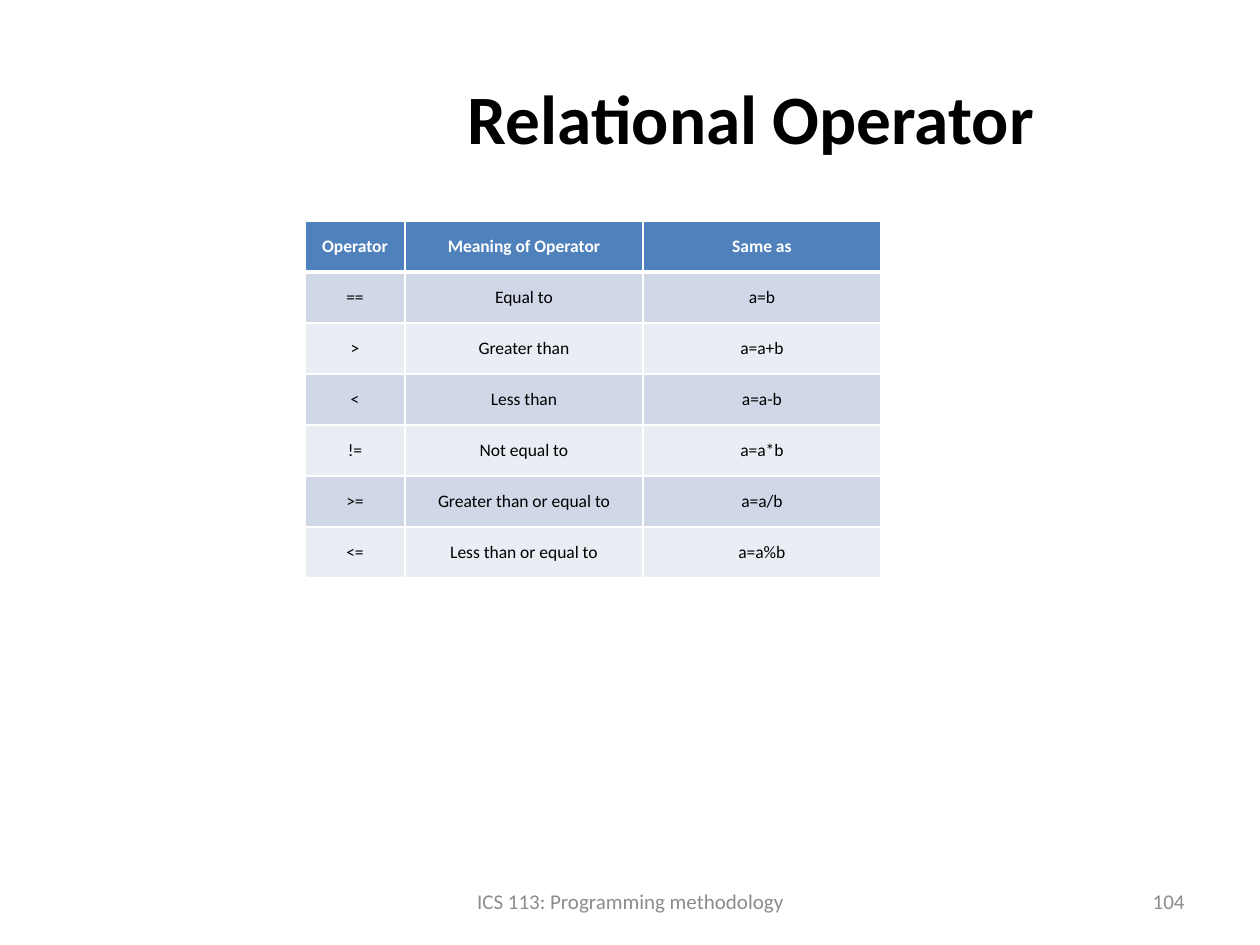
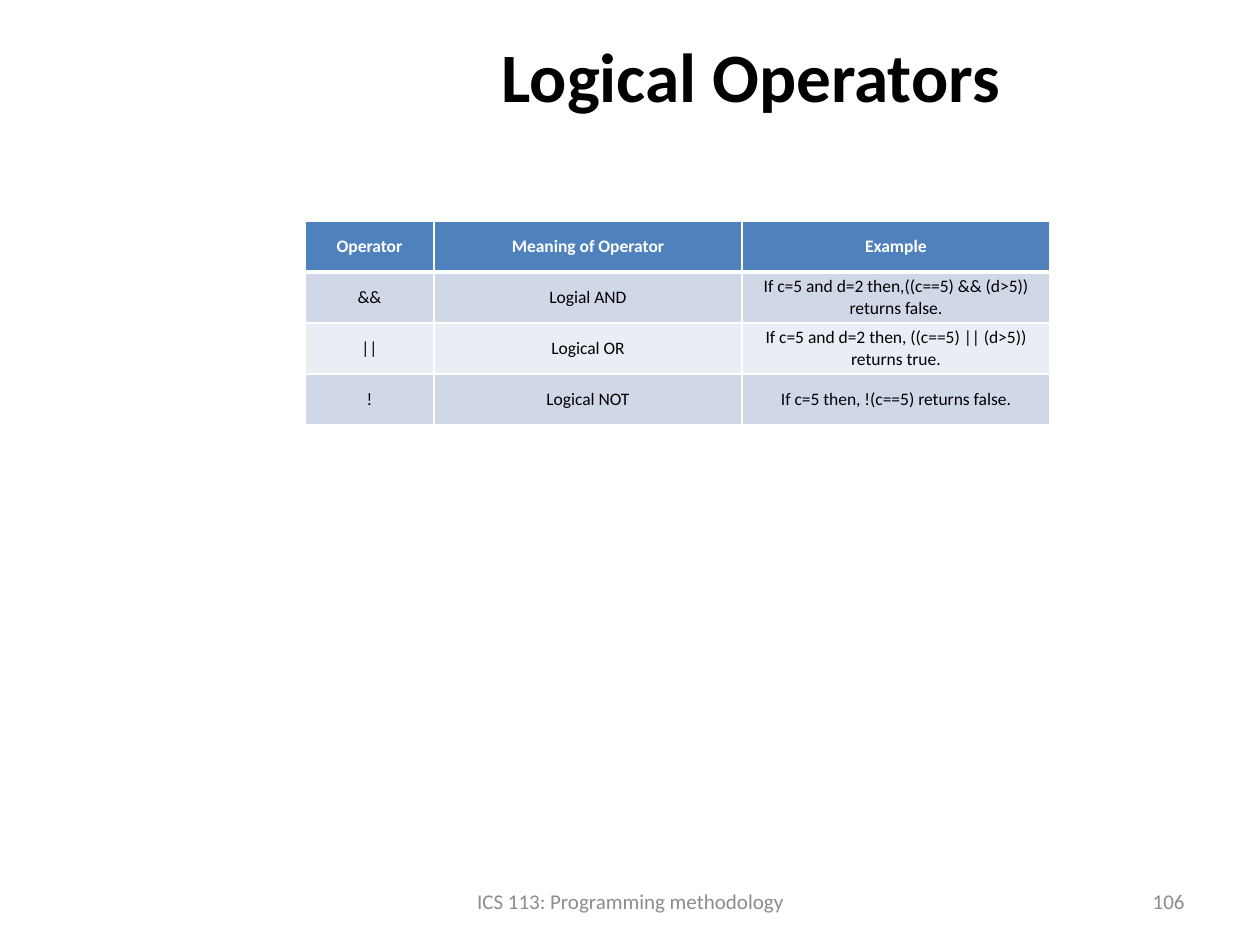
from dataclasses import dataclass

from lxml.etree import SubElement
from pptx import Presentation
from pptx.dml.color import RGBColor
from pptx.enum.text import MSO_ANCHOR, MSO_AUTO_SIZE, PP_ALIGN
from pptx.oxml.ns import qn
from pptx.util import Pt

PX = 914400 / 126  # EMU in one pixel


@dataclass(frozen=True)
class Theme:
    font: str = "Calibri"
    ink: str = "000000"
    paper: str = "FFFFFF"
    header: str = "4F81BD"
    bands: tuple = ("D0D8E8", "E9EDF4")
    footer: str = "8C8C8C"
    title_size: float = 39.6
    table_size: float = 10
    footer_size: float = 12
    rule: float = 1
    header_rule: float = 3


THEME = Theme()

# Boxes: left, top, width, height in px
PAGE_SIZE = (1260, 945)
TITLE_BOX = (305, 38, 892, 157)
FOOTER_BOX = (431, 876, 399, 50)
NUMBER_BOX = (903, 876, 294, 50)
TABLE_ORIGIN = (305, 221)
ROW_HEIGHT = 51
CELL_INSET = 1

COURSE = "ICS 113: Programming methodology"

RELATIONAL = [
    ("Operator", "Meaning of Operator", "Same as"),
    ("==", "Equal to", "a=b"),
    (">", "Greater than", "a=a+b"),
    ("<", "Less than", "a=a-b"),
    ("!=", "Not equal to", "a=a*b"),
    (">=", "Greater than or equal to", "a=a/b"),
    ("<=", "Less than or equal to", "a=a%b"),
]
LOGICAL = [
    ("Operator", "Meaning of Operator", "Example"),
    ("&&", "Logial AND", "If c=5 and d=2 then,((c==5) && (d>5)) returns false."),
    ("||", "Logical OR", "If c=5 and d=2 then, ((c==5) || (d>5)) returns true."),
    ("!", "Logical NOT", "If c=5 then, !(c==5) returns false."),
]


def emu(*lengths):
    return [round(length * PX) for length in lengths]


def write(frame, text, size, color, align=PP_ALIGN.CENTER, bold=False):
    frame.text = text
    frame.word_wrap = True
    para = frame.paragraphs[0]
    para.alignment = align
    for span in para.runs:
        span.font.name = THEME.font
        span.font.size = Pt(size)
        span.font.bold = bold
        span.font.color.rgb = RGBColor.from_string(color)


# Title: lift raises the centred line by that many px
def add_title(page, text, box, lift):
    title = page.shapes.title
    title.left, title.top, title.width, title.height = emu(*box)
    frame = title.text_frame
    write(frame, text, THEME.title_size, THEME.ink, bold=True)
    frame.auto_size = MSO_AUTO_SIZE.NONE
    frame.vertical_anchor = MSO_ANCHOR.MIDDLE
    frame.margin_top, frame.margin_bottom = emu(6, 6 + 2 * lift)


# Operator table
def set_borders(cell, top, bottom):
    properties = cell._tc.get_or_add_tcPr()
    widths = {"lnL": THEME.rule, "lnR": THEME.rule, "lnT": top, "lnB": bottom}
    for side, width in widths.items():
        line = SubElement(properties, qn(f"a:{side}"), w=str(Pt(width)))
        fill = SubElement(line, qn("a:solidFill"))
        SubElement(fill, qn("a:srgbClr"), val=THEME.paper)


def format_cell(cell, text, row):
    is_header = row == 0
    set_borders(
        cell,
        top=THEME.header_rule if row == 1 else THEME.rule,
        bottom=THEME.header_rule if is_header else THEME.rule,
    )
    fill = THEME.header if is_header else THEME.bands[(row - 1) % 2]
    cell.fill.solid()
    cell.fill.fore_color.rgb = RGBColor.from_string(fill)
    cell.vertical_anchor = MSO_ANCHOR.MIDDLE
    inset, = emu(CELL_INSET)
    cell.margin_left = cell.margin_right = inset
    cell.margin_top = cell.margin_bottom = inset
    color = THEME.paper if is_header else THEME.ink
    write(cell.text_frame, text, THEME.table_size, color, bold=is_header)


def add_operator_table(page, rows, widths, origin):
    box = emu(*origin, sum(widths), ROW_HEIGHT * len(rows))
    table = page.shapes.add_table(len(rows), len(widths), *box).table
    table.horz_banding = False
    for column, width in zip(table.columns, emu(*widths)):
        column.width = width
    for row, texts in enumerate(rows):
        table.rows[row].height, = emu(ROW_HEIGHT)
        for column, text in enumerate(texts):
            format_cell(table.cell(row, column), text, row)


# Footer and page number
def add_footer_text(page, text, box, align):
    frame = page.shapes.add_textbox(*emu(*box)).text_frame
    write(frame, text, THEME.footer_size, THEME.footer, align)
    frame.vertical_anchor = MSO_ANCHOR.MIDDLE


def add_operator_page(deck, title, rows, widths, number, lift=0):
    page = deck.slides.add_slide(deck.slide_layouts[5])
    add_title(page, title, TITLE_BOX, lift)
    add_operator_table(page, rows, widths, TABLE_ORIGIN)
    add_footer_text(page, str(number), NUMBER_BOX, PP_ALIGN.RIGHT)
    add_footer_text(page, COURSE, FOOTER_BOX, PP_ALIGN.CENTER)


def main():
    deck = Presentation()
    deck.slide_width, deck.slide_height = emu(*PAGE_SIZE)
    add_operator_page(deck, "Relational Operator", RELATIONAL, (100, 238, 238), 104)
    add_operator_page(deck, "Logical Operators", LOGICAL, (129, 308, 308), 106, lift=42)
    deck.save("out.pptx")


if __name__ == "__main__":
    main()
